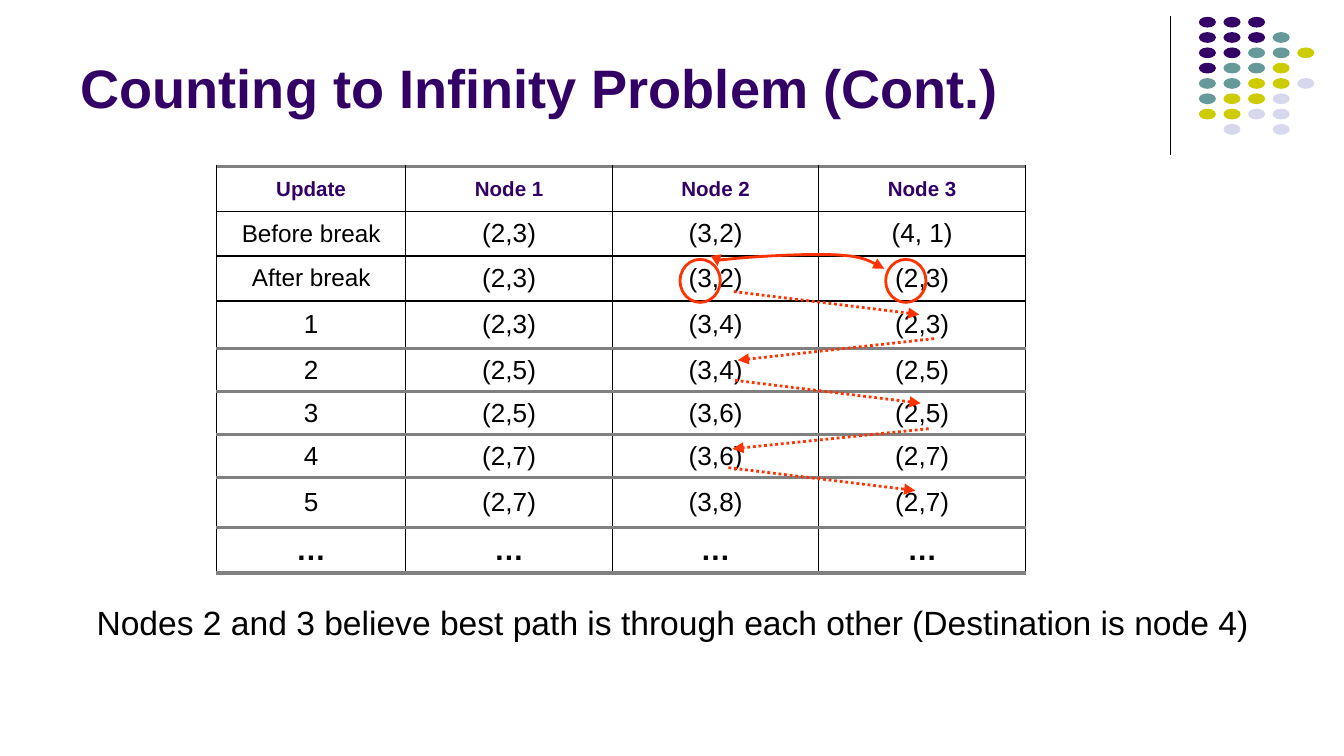
from typing import NamedTuple

import pptx
import pptx.dml.color
import pptx.enum.dml
import pptx.enum.shapes
import pptx.enum.text
import pptx.oxml
import pptx.oxml.ns
import pptx.util
from lxml import etree

RGB = pptx.dml.color.RGBColor
ALIGN = pptx.enum.text.PP_ALIGN
ANCHOR = pptx.enum.text.MSO_ANCHOR
SHAPE = pptx.enum.shapes.MSO_SHAPE
qn = pptx.oxml.ns.qn

PURPLE = RGB(0x33, 0x00, 0x66)
TEAL = RGB(0x66, 0x99, 0x99)
OLIVE = RGB(0xCC, 0xCC, 0x00)
LILAC = RGB(0xD8, 0xD8, 0xEC)
ORANGE = RGB(0xFF, 0x33, 0x00)
GRAY = RGB(0x80, 0x80, 0x80)
BLACK = RGB(0x00, 0x00, 0x00)
WHITE = RGB(0xFF, 0xFF, 0xFF)

# Square grid: 100 columns across the slide width
SLIDE_W = pptx.util.Inches(10)
SLIDE_H = SLIDE_W * 9 // 16
UNIT = SLIDE_W / 100


class Box(NamedTuple):
    left: float
    top: float
    width: float
    height: float


class Point(NamedTuple):
    x: float
    y: float


class Route(NamedTuple):
    start: Point
    end: Point


def grid(n: float) -> int:
    return round(n * UNIT)


def emu(values) -> list[int]:
    return [grid(v) for v in values]


def write(tf, text: str, size=14, color=BLACK, bold=False, align=ALIGN.LEFT):
    p = tf.paragraphs[0]
    p.alignment = align
    r = p.add_run()
    r.text = text
    r.font.name = "Arial"
    r.font.size = pptx.util.Pt(size)
    r.font.bold = bold
    r.font.color.rgb = color


def style_line(shape, color: RGB, width: float, dash=None, ends=()):
    shape.line.color.rgb = color
    shape.line.width = pptx.util.Pt(width)
    if dash is not None:
        shape.line.dash_style = dash
    ln = shape.element.spPr.find(qn("a:ln"))
    for end in ends:
        etree.SubElement(ln, qn(f"a:{end}"), type="triangle")


def add_line(s, route: Route, color: RGB, width: float, dash=None, ends=()):
    line = s.shapes.add_connector(
        pptx.enum.shapes.MSO_CONNECTOR.STRAIGHT, *emu(route.start + route.end))
    style_line(line, color, width, dash, ends)
    etree.SubElement(line.element.spPr, qn("a:effectLst"))


def add_ellipse(s, box: Box, fill=None, line=None):
    sp = s.shapes.add_shape(SHAPE.OVAL, *emu(box))
    sp.shadow.inherit = False
    if fill is None:
        sp.fill.background()
    else:
        sp.fill.solid()
        sp.fill.fore_color.rgb = fill
    if line is None:
        sp.line.fill.background()
    else:
        style_line(sp, line, 1.5)


def add_curve(s, points: list[Point], steps: int = 12):
    """Draw joined cubic curves: a start, then three points per curve."""
    path = []
    for i in range(0, len(points) - 1, 3):
        a, b, c, d = points[i:i + 4]
        for k in range(1, steps + 1):
            t, u = k / steps, 1 - k / steps
            path.append(emu(
                u**3 * a[n] + 3 * u * u * t * b[n] + 3 * u * t * t * c[n] + t**3 * d[n]
                for n in (0, 1)))
    builder = s.shapes.build_freeform(*emu(points[0]))
    builder.add_line_segments(path, close=False)
    sp = builder.convert_to_shape()
    sp.shadow.inherit = False
    sp.fill.background()
    style_line(sp, ORANGE, 1.5, ends=("headEnd", "tailEnd"))


def set_border(cell, side: str, color: RGB, width: float):
    ln = etree.SubElement(cell._tc.get_or_add_tcPr(), qn(f"a:ln{side}"),
                          w=str(pptx.util.Pt(width)))
    fill = etree.SubElement(ln, qn("a:solidFill"))
    etree.SubElement(fill, qn("a:srgbClr"), val=str(color))


# Dot ornament: one letter per dot, one string per row
DOT_COLORS = {"P": PURPLE, "T": TEAL, "Y": OLIVE, "L": LILAC}
DOTS = ["PPP", "PPPT", "PPTTY", "PTTY", "TTYYL", "TYYL", "YYLL", " L L"]

# Routing table
HEADER = ["Update", "Node 1", "Node 2", "Node 3"]
ROWS = [
    ["Before break", "(2,3)", "(3,2)", "(4, 1)"],
    ["After break", "(2,3)", "(3,2)", "(2,3)"],
    ["1", "(2,3)", "(3,4)", "(2,3)"],
    ["2", "(2,5)", "(3,4)", "(2,5)"],
    ["3", "(2,5)", "(3,6)", "(2,5)"],
    ["4", "(2,7)", "(3,6)", "(2,7)"],
    ["5", "(2,7)", "(3,8)", "(2,7)"],
    ["…"] * 4,
]
TABLE = Box(16.1, 12.4, 60.2, 30.25)
COL_WIDTHS = [14.1, 15.37, 15.37, 15.37]
ROW_HEIGHTS = [3.35, 3.3, 3.35, 3.55, 3.2, 3.2, 3.2, 3.7, 3.4]
FIRST_GRAY_ROW = 3  # from here on the bottom rules are thick and gray

# Updates passed back and forth between nodes 2 and 3
UPDATES = [
    Route(Point(54.6, 21.7), Point(68.4, 23.4)),
    Route(Point(69.5, 25.2), Point(54.9, 26.8)),
    Route(Point(54.7, 28.3), Point(68.5, 30)),
    Route(Point(69.1, 31.9), Point(54.5, 33.4)),
    Route(Point(54.2, 34.8), Point(68.1, 36.5)),
]
LOOP = [Point(53.4, 19.8), Point(53, 19.6), Point(52.6, 19.4), Point(54.1, 19.3),
        Point(55.7, 19.1), Point(60.7, 18.8), Point(62.7, 19),
        Point(64.6, 19.1), Point(65.3, 19.8), Point(65.8, 20)]


def add_ornament(s):
    add_line(s, Route(Point(87.1, 1.2), Point(87.1, 11.5)), BLACK, 0.75)
    for i, row in enumerate(DOTS):
        for j, key in enumerate(row):
            if key in DOT_COLORS:
                add_ellipse(s, Box(89.2 + 1.83 * j, 1.25 + 1.14 * i, 1.27, 0.8),
                            fill=DOT_COLORS[key])


def add_routing_table(s):
    data = [HEADER] + ROWS
    table = s.shapes.add_table(len(data), len(HEADER), *emu(TABLE)).table
    table.first_row = table.horz_banding = False
    for col, width in zip(table.columns, COL_WIDTHS):
        col.width = grid(width)
    for row, height in zip(table.rows, ROW_HEIGHTS):
        row.height = grid(height)
    thin, thick = (BLACK, 0.75), (GRAY, 2)
    for i, row in enumerate(data):
        for j, text in enumerate(row):
            cell = table.cell(i, j)
            cell.vertical_anchor = ANCHOR.MIDDLE
            cell.margin_left = cell.margin_right = grid(0.7)
            cell.margin_top = cell.margin_bottom = grid(0.4)
            set_border(cell, "L", *thin)
            set_border(cell, "R", *thin)
            set_border(cell, "T", *(thick if i == 0 or i > FIRST_GRAY_ROW else thin))
            set_border(cell, "B", *(thick if i >= FIRST_GRAY_ROW else thin))
            cell.fill.solid()
            cell.fill.fore_color.rgb = WHITE
            size = 11 if i == 0 else 16 if text == "…" else 13 if "break" in text else 14
            write(cell.text_frame, text, size=size, color=BLACK if i else PURPLE,
                  bold=size in (11, 16), align=ALIGN.CENTER)


def main():
    prs = pptx.Presentation()
    prs.slide_width, prs.slide_height = SLIDE_W, SLIDE_H
    s = prs.slides.add_slide(prs.slide_layouts[5])

    # Title
    title = s.shapes.title
    title.left, title.top, title.width, title.height = emu(Box(5, 1, 82.5, 8.4))
    tf = title.text_frame
    tf.auto_size = pptx.enum.text.MSO_AUTO_SIZE.NONE
    tf.vertical_anchor = ANCHOR.BOTTOM
    write(tf, "Counting to Infinity Problem (Cont.)", size=29, color=PURPLE, bold=True)

    add_ornament(s)
    add_routing_table(s)

    # Circled entries and the exchange between them
    for left in (50.6, 65.9):
        add_ellipse(s, Box(left, 19.3, 3, 3.2), line=ORANGE)
    add_curve(s, LOOP)
    for route in UPDATES:
        add_line(s, route, ORANGE, 1.5, pptx.enum.dml.MSO_LINE.ROUND_DOT, ("tailEnd",))

    # Conclusion
    tf = s.shapes.add_textbox(*emu(Box(6.2, 44.3, 88.9, 4))).text_frame
    tf.word_wrap = True
    write(tf, "Nodes 2 and 3 believe best path is through each other "
              "(Destination is node 4)", size=18)

    prs.save("out.pptx")


if __name__ == "__main__":
    main()
